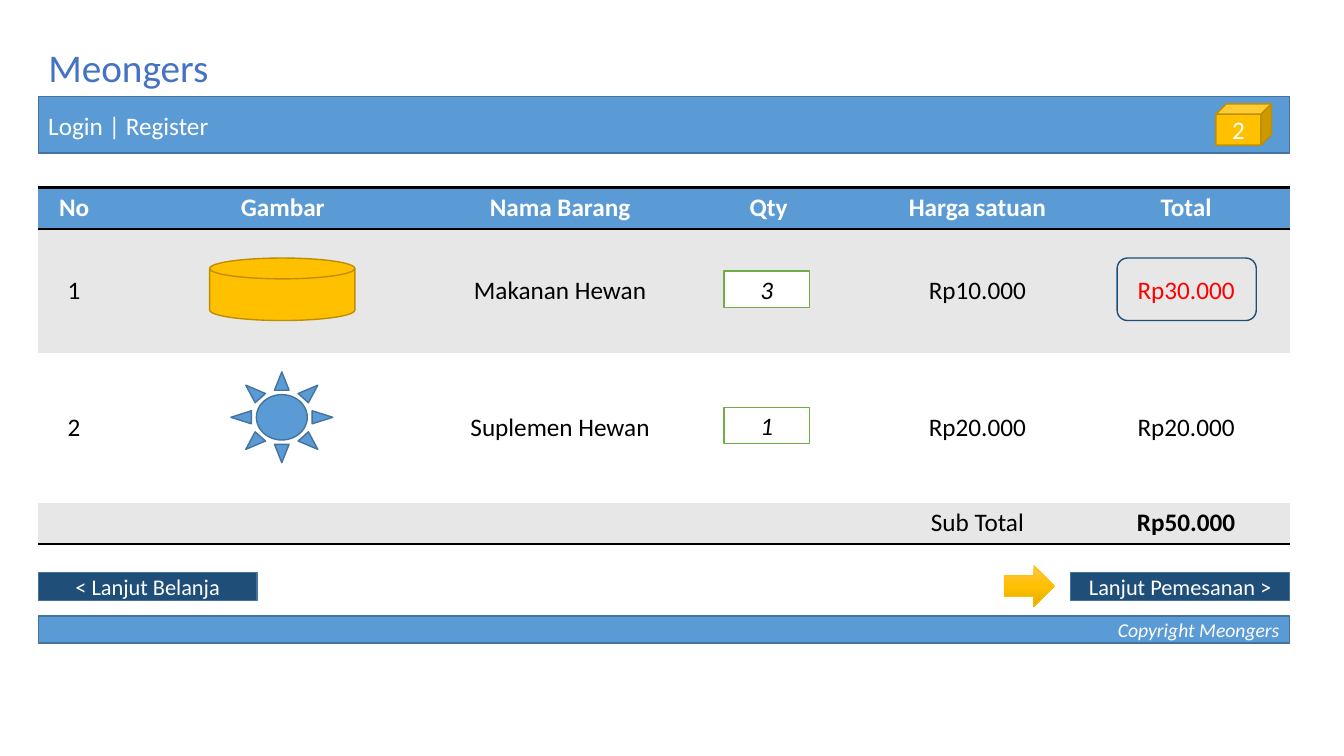
"""Builds the Meongers shopping cart slide."""
from copy import deepcopy

from lxml import etree
from pptx import Presentation
from pptx.dml.color import RGBColor
from pptx.enum.shapes import MSO_SHAPE
from pptx.enum.text import MSO_ANCHOR, PP_ALIGN
from pptx.oxml.ns import qn
from pptx.util import Pt

PX = 9144
LEFT, MID, RIGHT = PP_ALIGN.LEFT, PP_ALIGN.CENTER, PP_ALIGN.RIGHT
TOP, CENTER = MSO_ANCHOR.TOP, MSO_ANCHOR.MIDDLE
RECT, CUBE, SUN = MSO_SHAPE.RECTANGLE, MSO_SHAPE.CUBE, MSO_SHAPE.SUN
DISK = MSO_SHAPE.FLOWCHART_MAGNETIC_DISK
ROUND, ARROW = MSO_SHAPE.ROUNDED_RECTANGLE, MSO_SHAPE.RIGHT_ARROW
WHITE = RGBColor(0xFF, 0xFF, 0xFF)
BLACK = RGBColor(0, 0, 0)
RED = RGBColor(0xFF, 0, 0)
BLUE = RGBColor(0x5B, 0x9B, 0xD5)
EDGE = RGBColor(0x43, 0x73, 0x9E)
NAVY = RGBColor(0x1F, 0x4E, 0x79)
ROYAL = RGBColor(0x44, 0x72, 0xC4)
GOLD = RGBColor(0xFF, 0xC0, 0)
BRONZE = RGBColor(0xBD, 0x8E, 0)
LIGHT = RGBColor(0xFF, 0xC6, 0x4B)
DARK = RGBColor(0xE3, 0xAB, 0)
GREEN = RGBColor(0x70, 0xAD, 0x47)
GREY = RGBColor(0xE7, 0xE7, 0xE7)
NO_STYLE = "{2D5ABB26-0587-4C30-8999-92F81FD0307C}"


def write(frame, text, size=18, color=WHITE, align=MID, **look):
    para = frame.paragraphs[0]
    para.text = text
    para.alignment = align
    font = para.runs[0].font
    font.color.rgb = color
    look = {"name": "Calibri", "size": Pt(size), "bold": False, **look}
    for key, value in look.items():
        setattr(font, key, value)


def draw(kind, at, fill, line, width=1):
    shape = slide.shapes.add_shape(kind, *[n * PX for n in at])
    shape.shadow.inherit = False
    if fill is None:
        shape.fill.background()
    else:
        shape.fill.solid()
        shape.fill.fore_color.rgb = fill
    shape.line.color.rgb = line
    shape.line.width = Pt(width)
    shape.text_frame.vertical_anchor = CENTER
    return shape


deck = Presentation()
deck.slide_width, deck.slide_height = 1333 * PX, 750 * PX
slide = deck.slides.add_slide(deck.slide_layouts[5])

title = slide.shapes.title
place = {"left": 38, "top": 38, "width": 181, "height": 57}
for key, value in place.items():
    setattr(title, key, value * PX)
title.text_frame.word_wrap = False
title.text_frame.vertical_anchor = TOP
write(title.text_frame, "Meongers", 28, ROYAL, LEFT)

bars = [
    (RECT, (38, 96, 1241, 56), BLUE, EDGE, "Login | Register",
     {"align": LEFT}),
    (CUBE, (1206, 103, 55, 41), GOLD, BRONZE, "2", {}),
    (RECT, (38, 568, 217, 28), NAVY, EDGE, "< Lanjut Belanja", {"size": 16}),
    (RECT, (1062, 568, 217, 28), NAVY, EDGE, "Lanjut Pemesanan >",
     {"size": 16}),
    (RECT, (38, 611, 1241, 27), BLUE, EDGE, "Copyright Meongers",
     {"size": 14, "align": RIGHT, "italic": True}),
]
for kind, at, fill, line, text, look in bars:
    write(draw(kind, at, fill, line).text_frame, text, **look)

rows = [
    ["No", "Gambar", "Nama Barang", "Qty", "Harga satuan", "Total"],
    ["1", "", "Makanan Hewan", "", "Rp10.000", "Rp30.000"],
    ["2", "", "Suplemen Hewan", "", "Rp20.000", "Rp20.000"],
    ["", "", "", "", "Sub Total", "Rp50.000"],
]
wide = [71, 343] + [207] * 4
tall = [41, 123, 149, 41]
fills = [BLUE, GREY, WHITE, GREY]
edges = [["lnT", "lnB"], [], [], ["lnB"]]
cart = slide.shapes.add_table(
    4, 6, 38 * PX, 186 * PX, 1241 * PX, 353 * PX).table
cart._tbl.tblPr.find(qn("a:tableStyleId")).text = NO_STYLE
for col, size in zip(cart.columns, wide):
    col.width = size * PX
for r, words in enumerate(rows):
    cart.rows[r].height = tall[r] * PX
    for c, text in enumerate(words):
        cell = cart.cell(r, c)
        cell.vertical_anchor = CENTER if r in (1, 2) else TOP
        props = cell._tc.get_or_add_tcPr()
        for edge in edges[r]:
            rule = etree.SubElement(props, qn("a:" + edge), w=str(Pt(2)))
            ink = etree.SubElement(rule, qn("a:solidFill"))
            etree.SubElement(ink, qn("a:srgbClr"), val=str(BLACK))
        cell.fill.solid()
        cell.fill.fore_color.rgb = fills[r]
        if text:
            color = WHITE if r == 0 else RED if (r, c) == (1, 5) else BLACK
            write(cell.text_frame, text, color=color,
                  bold=r == 0 or (r, c) == (3, 5))

draw(DISK, (208, 256, 144, 62), GOLD, BRONZE)
draw(SUN, (229, 369, 101, 90), BLUE, EDGE)
for top, count in [(269, "3"), (404, "1")]:
    field = draw(RECT, (718, top, 85, 36), WHITE, GREEN)
    write(field.text_frame, count, color=BLACK, italic=True)
draw(ROUND, (1108, 256, 138, 62), None, NAVY)

arrow = draw(ARROW, (996, 561, 50, 41), GOLD, GOLD, 0.5)
arrow.fill.gradient()
arrow.fill.gradient_angle = 270
stops = arrow._element.spPr.find(".//" + qn("a:gsLst"))
stops.insert(1, deepcopy(stops[0]))
for stop, spot, color in zip(
        arrow.fill.gradient_stops, (0, 0.5, 1), (LIGHT, GOLD, DARK)):
    stop.position = spot
    stop.color.rgb = color

deck.save("out.pptx")
